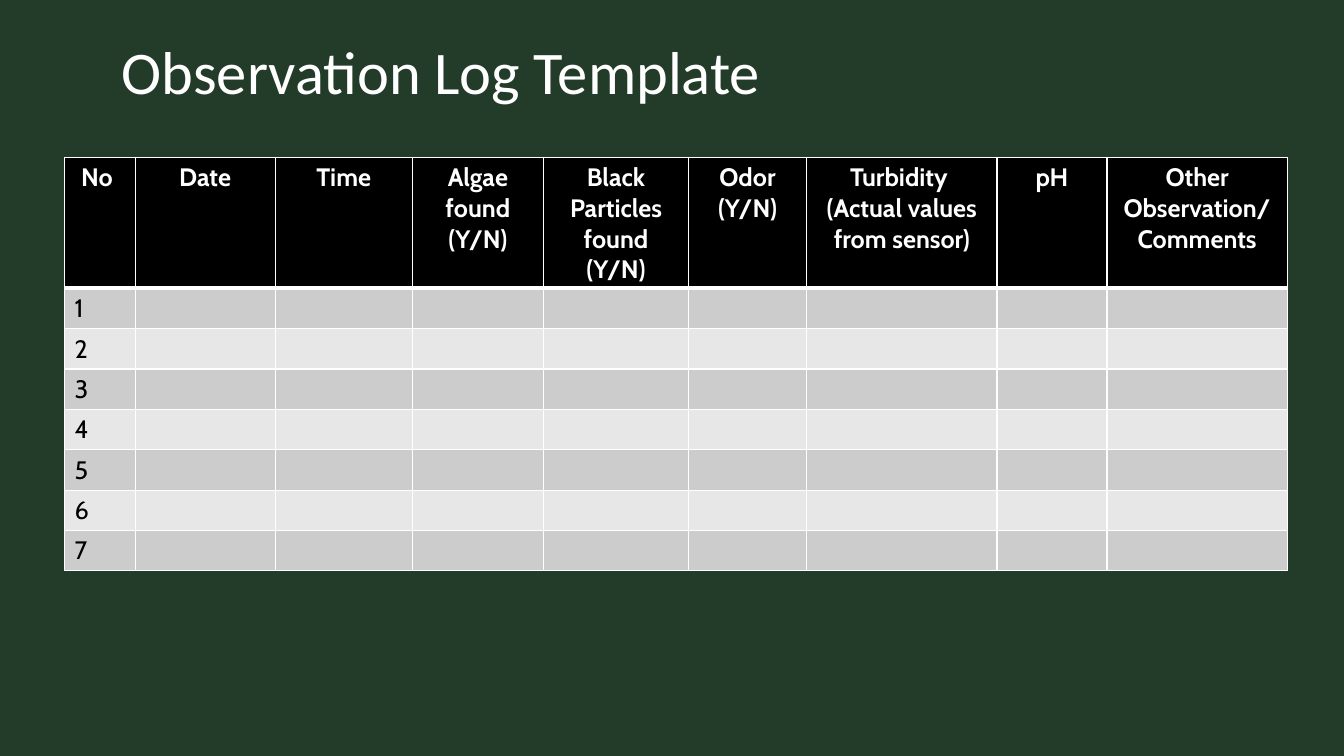
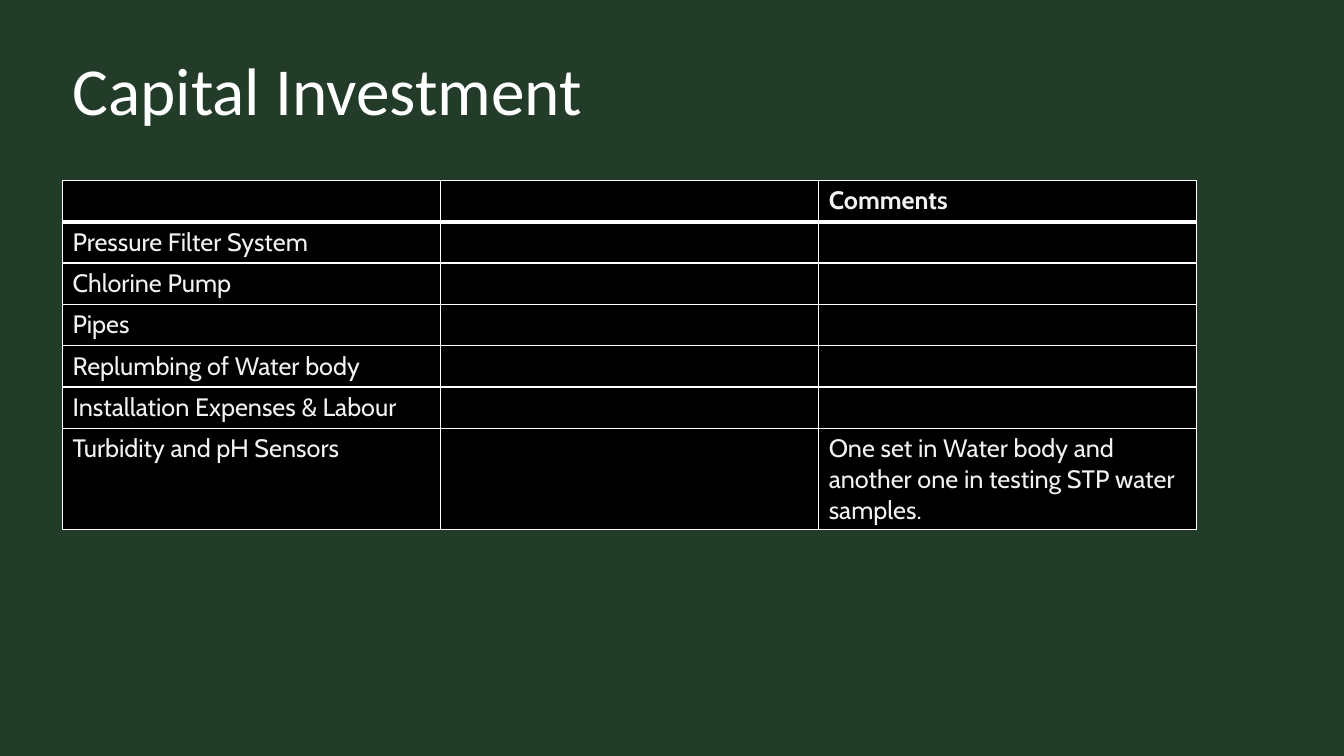
from dataclasses import dataclass

from lxml import etree
from pptx import Presentation
from pptx.dml.color import RGBColor
from pptx.enum.text import MSO_ANCHOR, PP_ALIGN
from pptx.oxml.ns import qn
from pptx.util import Inches, Pt

LEFT, CENTER = PP_ALIGN.LEFT, PP_ALIGN.CENTER
TOP, MIDDLE = MSO_ANCHOR.TOP, MSO_ANCHOR.MIDDLE


@dataclass(frozen=True)
class Theme:
    background: str = "223C29"
    white: str = "FFFFFF"
    soft_white: str = "F2F2F2"
    black: str = "000000"
    bands: tuple = ("CCCCCC", "E7E7E7")
    title_font: str = "Calibri"
    table_font: str = "Cabin"
    table_size: float = 18
    rule: float = 1
    header_rule: float = 3


THEME = Theme()

# Content: each slide has a title and one table
SLIDES = [
    {
        "title": "Observation Log Template",
        "title_box": (1.11, 0.41, 8.72, 0.71),
        "title_size": 43.2, "title_spacing": 0.8, "title_anchor": MIDDLE,
        "table_at": (0.64, 1.56),
        "columns": [0.7, 1.39, 1.36, 1.3, 1.44, 1.17, 1.89, 1.09, 1.79],
        "header_height": 1.28, "row_height": 0.4,
        "header": ["No ", "Date", "Time", "Algae found (Y/N)",
                   "Black\nParticles found (Y/N)", "Odor (Y/N)",
                   "Turbidity \n(Actual values from sensor)", "pH",
                   "Other Observation/ Comments"],
        "rows": [[str(number)] for number in range(1, 8)],
        "header_align": CENTER, "header_color": THEME.white,
        "body_color": THEME.black, "body_fills": THEME.bands,
    },
    {
        "title": "Capital Investment",
        "title_box": (0.62, 0.52, 12.11, 1.07),
        "title_size": 48, "title_spacing": 0.9, "title_anchor": TOP,
        "table_at": (0.62, 1.79),
        "columns": [3.75] * 3,
        "header_height": 0.41, "row_height": 0.41,
        "header": ["", "", "Comments"],
        "rows": [
            ["Pressure Filter System"],
            ["Chlorine Pump"],
            ["Pipes"],
            ["Replumbing of Water body"],
            ["Installation Expenses & Labour"],
            ["Turbidity and pH Sensors", "",
             "One set in Water body and another one in testing STP water samples."],
        ],
        "header_align": LEFT, "header_color": THEME.soft_white,
        "body_color": THEME.soft_white, "body_fills": (THEME.black,),
    },
]


def style_text(frame, font, size, color, bold=False, align=LEFT, spacing=None):
    for paragraph in frame.paragraphs:
        paragraph.alignment = align
        if spacing:
            paragraph.line_spacing = spacing
        for run in paragraph.runs:
            run.font.name = font
            run.font.size = Pt(size)
            run.font.bold = bold
            run.font.color.rgb = RGBColor.from_string(color)


def add_title(slide, content):
    frame = slide.shapes.add_textbox(*map(Inches, content["title_box"])).text_frame
    frame.word_wrap = True
    frame.vertical_anchor = content["title_anchor"]
    frame.text = content["title"]
    style_text(frame, THEME.title_font, content["title_size"], THEME.white,
               spacing=content["title_spacing"])


def set_borders(cell, top, bottom):
    widths = {"lnL": THEME.rule, "lnR": THEME.rule, "lnT": top, "lnB": bottom}
    properties = cell._tc.get_or_add_tcPr()
    # Borders must come before the fill
    for position, (side, width) in enumerate(widths.items()):
        line = etree.Element(qn(f"a:{side}"), w=str(Pt(width)))
        fill = etree.SubElement(line, qn("a:solidFill"))
        etree.SubElement(fill, qn("a:srgbClr"), val=THEME.white)
        properties.insert(position, line)


def add_log_table(slide, content):
    columns = content["columns"]
    lines = [content["header"]] + content["rows"]
    heights = [content["header_height"]] + [content["row_height"]] * len(content["rows"])
    size = (sum(columns), sum(heights))
    table = slide.shapes.add_table(len(lines), len(columns),
                                   *map(Inches, content["table_at"] + size)).table
    for column, width in zip(table.columns, columns):
        column.width = Inches(width)

    for r, (row, height, texts) in enumerate(zip(table.rows, heights, lines)):
        row.height = Inches(height)
        is_header = r == 0
        fills = content["body_fills"]
        fill = THEME.black if is_header else fills[(r - 1) % len(fills)]
        color = content["header_color" if is_header else "body_color"]
        align = content["header_align"] if is_header else LEFT
        top = THEME.header_rule if r == 1 else THEME.rule
        bottom = THEME.header_rule if is_header else THEME.rule
        for c, cell in enumerate(row.cells):
            cell.fill.solid()
            cell.fill.fore_color.rgb = RGBColor.from_string(fill)
            set_borders(cell, top, bottom)
            if c < len(texts) and texts[c]:
                cell.text_frame.text = texts[c]
                style_text(cell.text_frame, THEME.table_font, THEME.table_size,
                           color, is_header, align)


def main():
    deck = Presentation()
    deck.slide_width, deck.slide_height = Inches(13.33), Inches(7.5)

    # Shared background
    background = deck.slide_master.background.fill
    background.solid()
    background.fore_color.rgb = RGBColor.from_string(THEME.background)

    blank = deck.slide_layouts[6]
    for content in SLIDES:
        slide = deck.slides.add_slide(blank)
        add_title(slide, content)
        add_log_table(slide, content)
    deck.save("out.pptx")


if __name__ == "__main__":
    main()
